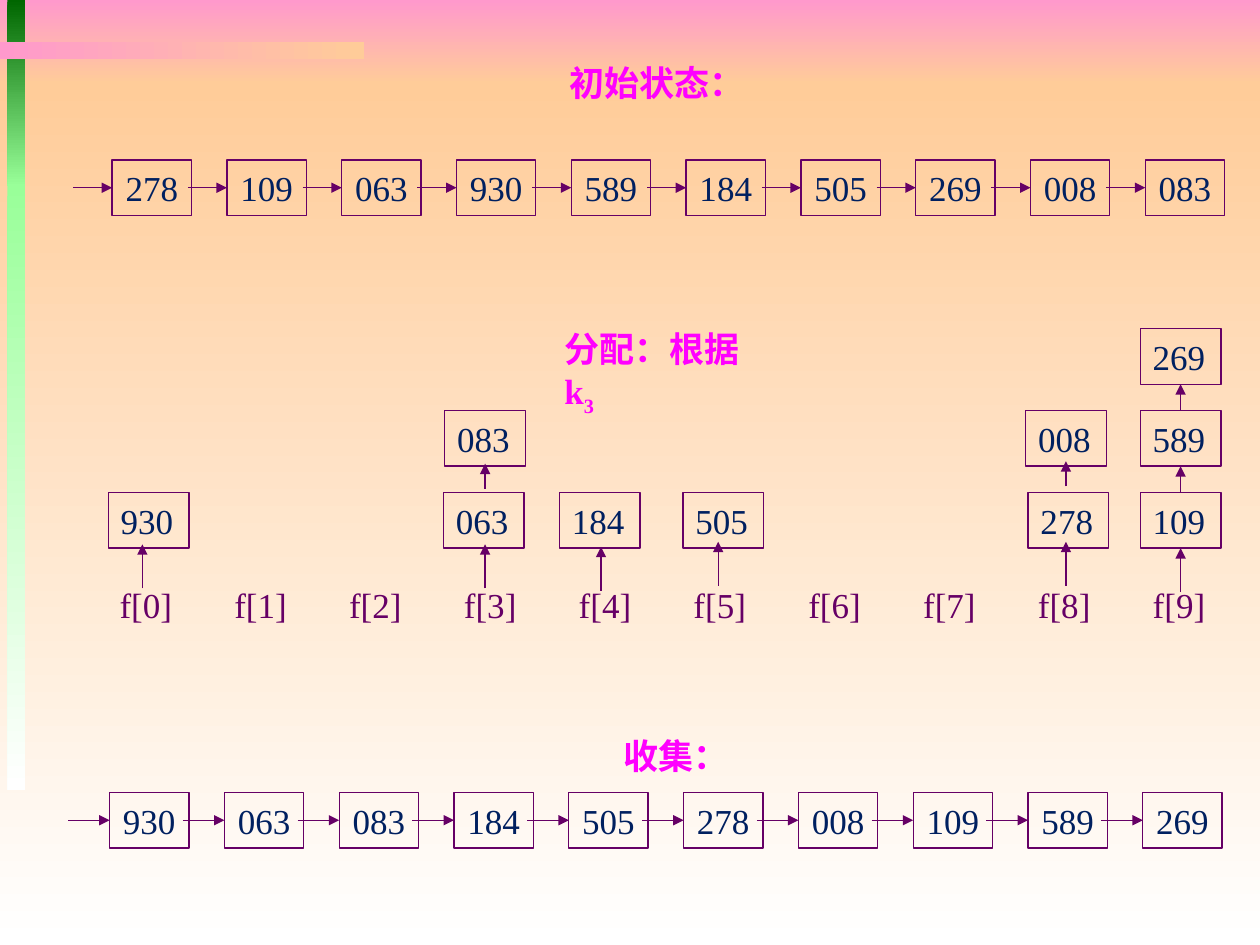
from dataclasses import dataclass

from lxml.etree import SubElement
from pptx import Presentation
from pptx.dml.color import RGBColor
from pptx.enum.shapes import MSO_CONNECTOR as Connector, MSO_SHAPE as Shape
from pptx.enum.text import MSO_ANCHOR as Anchor, MSO_AUTO_SIZE as AutoSize, PP_ALIGN as Align
from pptx.oxml.ns import qn
from pptx.util import Inches, Pt


@dataclass(frozen=True)
class Theme:
    font: str = "Times New Roman"
    size: int = 20
    line_width: float = 0.75
    outline: str = "660066"
    number: str = "002060"
    heading: str = "FF00FF"
    pink: str = "FF99CC"
    peach: str = "FFCC99"
    dark_green: str = "006600"
    light_green: str = "99FF99"
    white: str = "FFFFFF"


THEME = Theme()
WIDTH, HEIGHT = 10, 7.5
COLUMN_PITCH = 8.2 / 9
BOX_HEIGHT = 0.44
LEVEL_PITCH = 0.65
TOP_SIDE, LEFT_SIDE, BOTTOM_SIDE = 0, 1, 2

INITIAL = "278 109 063 930 589 184 505 269 008 083".split()
COLLECTED = "930 063 083 184 505 278 008 109 589 269".split()


@dataclass(frozen=True)
class Bucket:
    """A stack of numbers, bottom first, with the left edge of each box."""
    numbers: tuple
    lefts: tuple
    arrow_x: float
    arrow_start: float
    joined: bool = False


BUCKETS = [
    Bucket(("930",), (0.86,), 1.13, 4.67),
    Bucket(("063", "083"), (3.52, 3.53), 3.85, 4.67),
    Bucket(("184",), (4.44,), 4.77, 4.69),
    Bucket(("505",), (5.42,), 5.7, 4.65),
    Bucket(("278", "008"), (8.16, 8.14), 8.46, 4.65),
    Bucket(("109", "589", "269"), (9.05,) * 3, 9.37, 4.7, joined=True),
]


def color(value):
    return RGBColor.from_string(value)


def box_of(*lengths):
    return [Inches(length) for length in lengths]


def write(shape, *runs, ink, bold=False, align=Align.LEFT, anchor=Anchor.TOP, wrap=False):
    """Fill one paragraph; a run given as a (text, baseline) pair is raised or lowered."""
    frame = shape.text_frame
    frame.auto_size = AutoSize.NONE
    frame.word_wrap = wrap
    frame.vertical_anchor = anchor
    paragraph = frame.paragraphs[0]
    paragraph.alignment = align
    for item in runs:
        text, baseline = item if isinstance(item, tuple) else (item, None)
        run = paragraph.add_run()
        run.text = text
        run.font.name, run.font.size, run.font.bold = THEME.font, Pt(THEME.size), bold
        run.font.color.rgb = color(ink)
        if baseline:
            run.font._element.set("baseline", str(baseline))


def add_gradient(slide, left, top, width, height, start, end, angle=270):
    shape = slide.shapes.add_shape(Shape.RECTANGLE, *box_of(left, top, width, height))
    shape.shadow.inherit = False
    shape.line.fill.background()
    shape.fill.gradient()
    shape.fill.gradient_angle = angle
    for stop, value in zip(shape.fill.gradient_stops, (start, end)):
        stop.color.rgb = color(value)


def add_backdrop(slide):
    band = 0.67
    add_gradient(slide, 0, 0, WIDTH, band, THEME.pink, THEME.peach)
    add_gradient(slide, 0, band, WIDTH, HEIGHT - band, THEME.peach, THEME.white)
    add_gradient(slide, 0.06, 0, 0.14, 1.48, THEME.dark_green, THEME.light_green)
    add_gradient(slide, 0.06, 1.46, 0.14, 4.81, THEME.light_green, THEME.white)
    add_gradient(slide, 0, 0.33, 2.89, 0.14, THEME.pink, THEME.peach, angle=0)


def add_number(slide, number, left, top, width, align):
    shape = slide.shapes.add_shape(Shape.RECTANGLE, *box_of(left, top, width, BOX_HEIGHT))
    shape.shadow.inherit = False
    shape.fill.background()
    shape.line.color.rgb = color(THEME.outline)
    shape.line.width = Pt(THEME.line_width)
    write(shape, number, ink=THEME.number, align=align, anchor=Anchor.MIDDLE)
    return shape


def add_arrow(slide, start, end):
    arrow = slide.shapes.add_connector(Connector.STRAIGHT, *box_of(*start, *end))
    arrow.line.color.rgb = color(THEME.outline)
    arrow.line.width = Pt(THEME.line_width)
    SubElement(arrow.line._get_or_add_ln(), qn("a:tailEnd"), type="triangle")
    SubElement(arrow._element.spPr, qn("a:effectLst"))
    return arrow


def add_list(slide, numbers, first_left, top, arrow_length):
    """Draw a linked list along the ten columns."""
    middle = top + BOX_HEIGHT / 2
    for column, number in enumerate(numbers):
        left = first_left + column * COLUMN_PITCH
        box = add_number(slide, number, left, top, 0.63, Align.CENTER)
        arrow = add_arrow(slide, (left - arrow_length, middle), (left, middle))
        arrow.end_connect(box, LEFT_SIDE)


def add_bucket(slide, bucket):
    below = None
    for level, (number, left) in enumerate(zip(bucket.numbers, bucket.lefts)):
        top = 3.91 - level * LEVEL_PITCH
        box = add_number(slide, number, left, top, 0.64, Align.LEFT)
        start = bucket.arrow_start - (0.14 + level * LEVEL_PITCH if level else 0)
        end = start - (0.2 if level else 0.35)
        arrow = add_arrow(slide, (bucket.arrow_x, start), (bucket.arrow_x, end))
        if bucket.joined:
            arrow.end_connect(box, BOTTOM_SIDE)
            if below:
                arrow.begin_connect(below, TOP_SIDE)
        below = box


def add_bucket_labels(slide):
    for column in range(10):
        left = 0.85 + column * COLUMN_PITCH
        label = slide.shapes.add_textbox(*box_of(left, 4.58, 0.62, 0.43))
        write(label, f"f[{column}]", ink=THEME.outline)


def add_headings(slide):
    title = slide.shapes.title
    slide.shapes._spTree.append(title._element)  # bring in front of the backdrop
    title.left, title.top, title.width, title.height = box_of(4.42, 0.44, 1.61, 0.44)
    write(title, "初始状态：", ink=THEME.heading, bold=True)

    distribute = slide.shapes.add_textbox(*box_of(4.38, 2.55, 1.89, 0.44))
    distribute.text_frame.margin_right = Inches(0.35)  # k₃ goes to the second line
    write(distribute, "分配：根据k", ("3", -25000), ink=THEME.heading, bold=True, wrap=True)

    collect = slide.shapes.add_textbox(*box_of(4.85, 5.78, 1.04, 0.44))
    write(collect, "收集：", ink=THEME.heading, bold=True)


def main():
    presentation = Presentation()
    presentation.slide_width, presentation.slide_height = box_of(WIDTH, HEIGHT)
    slide = presentation.slides.add_slide(presentation.slide_layouts.get_by_name("Title Only"))
    add_backdrop(slide)
    add_list(slide, INITIAL, 0.89, 1.27, 0.31)
    for bucket in BUCKETS:
        add_bucket(slide, bucket)
    add_bucket_labels(slide)
    add_list(slide, COLLECTED, 0.87, 6.29, 0.33)
    add_headings(slide)
    presentation.save("out.pptx")


if __name__ == "__main__":
    main()
